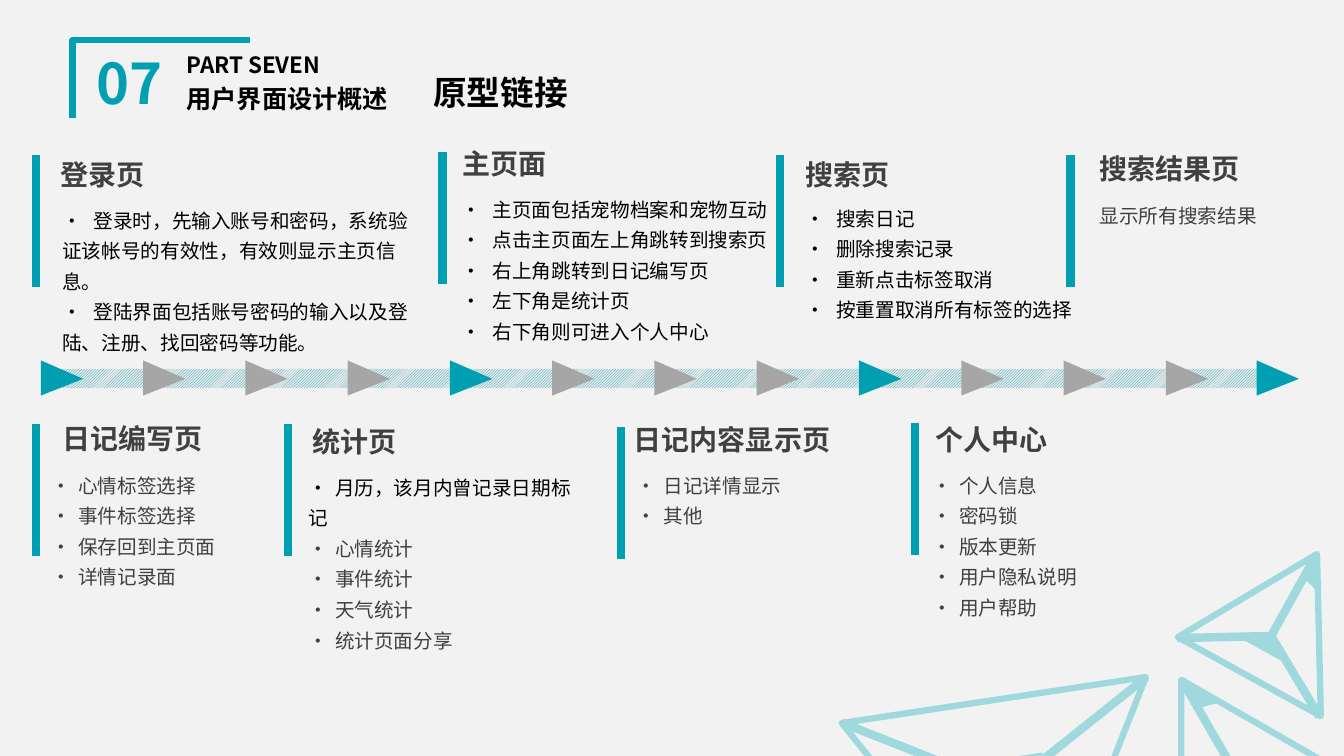
from dataclasses import dataclass
from lxml.etree import SubElement
from pptx import Presentation
from pptx.dml.color import RGBColor
from pptx.enum.dml import MSO_PATTERN
from pptx.enum.shapes import MSO_CONNECTOR, MSO_SHAPE
from pptx.enum.text import MSO_ANCHOR, PP_ALIGN
from pptx.oxml.ns import qn
from pptx.util import Inches, Pt


@dataclass(frozen=True)
class Theme:
    font: str = "Noto Sans CJK SC"
    paper: str = "F2F2F2"
    teal: str = "009FB1"
    pale: str = "9FD9DE"
    grey: str = "A6A6A6"
    track: str = "E9E9E9"
    ink: str = "000000"
    soft: str = "404040"
    number: int = 40
    link: int = 24
    head: int = 20
    title: int = 18
    label: int = 16
    body: int = 14
    bar: float = 6
    frame: float = 4.5
    hair: float = 1


T = Theme()
W, H = Inches(13.333), Inches(7.5)
BAR_H = 17.4
TEXT_W = 18.9
LINE_H = 4.05


def rgb(color):
    return RGBColor.from_string(color)


def px(share):
    return round(W * share / 100)


def py(share):
    return round(H * share / 100)


def place(sp, x, y, w, h):
    sp.left, sp.top, sp.width, sp.height = px(x), py(y), px(w), py(h)


def write(p, text, size, color=T.ink, bold=False, align=PP_ALIGN.LEFT, spacing=None, before=0, tab=None):
    p.alignment, p.line_spacing, p.space_before = align, spacing, Pt(before)
    if tab:
        tabs = SubElement(p._p.get_or_add_pPr(), qn("a:tabLst"))
        SubElement(tabs, qn("a:tab"), pos=str(px(tab)), algn="l")
    r = p.add_run()
    r.text = text
    r.font.size, r.font.bold, r.font.name = Pt(size), bold, T.font
    r.font.color.rgb = rgb(color)
    SubElement(r._r.get_or_add_rPr(), qn("a:ea"), typeface=T.font)


def text_box(s, x, y, w, h):
    tf = s.shapes.add_textbox(px(x), py(y), px(w), py(h)).text_frame
    tf.word_wrap = True
    return tf


def style(sp, fill=None, line=None, width=T.hair):
    sp.shadow.inherit = False
    if fill:
        sp.fill.solid()
        sp.fill.fore_color.rgb = rgb(fill)
    else:
        sp.fill.background()
    if line:
        sp.line.color.rgb, sp.line.width = rgb(line), Pt(width)
    else:
        sp.line.fill.background()


def rule(s, x1, y1, x2, y2, color):
    c = s.shapes.add_connector(MSO_CONNECTOR.STRAIGHT, px(x1), py(y1), px(x2), py(y2))
    c.line.color.rgb, c.line.width = rgb(color), Pt(T.bar)
    SubElement(c._element.spPr, qn("a:effectLst"))


def triangle(s, x, y, w, h, turn, **look):
    sp = s.shapes.add_shape(MSO_SHAPE.ISOSCELES_TRIANGLE, px(x), py(y), px(w), py(h))
    sp.rotation = turn
    style(sp, **look)
    return sp


def outline(s, points, close, **look):
    pts = [(px(x), py(y)) for x, y in points]
    fb = s.shapes.build_freeform(*pts[0])
    fb.add_line_segments(pts[1:], close=close)
    style(fb.convert_to_shape(), **look)


def gem(s, face, turn, edges, chips=(), base=None):
    triangle(s, *face, turn, fill=T.paper, line=T.pale, width=T.frame)
    for edge in edges:
        rule(s, *edge, T.pale)
    if base:
        triangle(s, *base, turn, fill=T.pale, line=T.pale)
    for chip in chips:
        outline(s, chip, True, fill=T.pale, line=T.pale)


def gems(s):
    gem(s, (63.98, 92.4, 22.88, 35.07), 171.4,
        [(85.28, 89.6, 74.93, 104.27), (62.63, 95.6, 75, 104.27)],
        base=(71.78, 100.4, 5.93, 3.2))
    gem(s, (83.7, 88.4, 14.78, 22.67), 330, [(87.9, 89.87, 92.1, 102.8)],
        chips=[[(89.4, 93.47), (90.53, 92.93), (88.58, 90.93)]])
    hub = (94.58, 84.13)
    gem(s, (89.4, 72.13, 12.15, 18.53), 28.9,
        [(97.95, 73.33, *hub), (87.6, 84.4, *hub), (98.18, 94.8, *hub)],
        chips=[[(97.2, 76.67), (97.88, 77.87), (97.8, 74.67)]],
        base=(92.7, 84.4, 3.15, 1.73))


def header(s, x, y):
    outline(s, [(x, y + 10.27), (x, y), (x + 13.2, y)], False, line=T.teal, width=T.frame)
    number = text_box(s, x + 0.75, y + 1.2, 6.98, 9.73)
    write(number.paragraphs[0], "07", T.number, T.teal, True, PP_ALIGN.CENTER, 0.9, 10)
    label = text_box(s, x + 7.73, y + 1.2, 20.03, 4.53)
    write(label.paragraphs[0], "PART SEVEN", T.label, bold=True, spacing=0.9, before=10)
    title = s.shapes.title
    place(title, x + 7.73, y + 5.07, 20.03, 5.87)
    write(title.text_frame.paragraphs[0], "用户界面设计概述", T.title, bold=True, spacing=0.9, before=10)
    for tf in (number, label, title.text_frame):
        tf.vertical_anchor = MSO_ANCHOR.MIDDLE
    link = text_box(s, x + 26.1, y + 2, 12.9, 7.6)
    write(link.paragraphs[0], "原型链接", T.link, bold=True, spacing=1.3, before=6)


def timeline(s, x, y, w):
    track = s.shapes.add_shape(MSO_SHAPE.RECTANGLE, px(x), py(y), px(w), py(2.53))
    style(track)
    track.fill.patterned()
    track.fill.pattern = MSO_PATTERN.LIGHT_UPWARD_DIAGONAL
    track.fill.fore_color.rgb, track.fill.back_color.rgb = rgb(T.teal), rgb(T.track)
    steps = [0.22 + 7.61 * i for i in range(12)] + [w - 1.05]
    for i, dx in enumerate(steps):
        arrow = triangle(s, x + dx, y - 1.6, 2.62, 5.6, 90, fill=T.grey if i % 4 else T.teal)
        arrow.adjustments[0] = 0.525


def panel(s, x, y, head, head_at, body_at, lines, w=TEXT_W, tab=2, color=T.soft, first=None):
    rule(s, x, y, x, y + BAR_H, T.teal)
    tf = text_box(s, x + head_at[0], y + head_at[1], TEXT_W, 5.87)
    write(tf.paragraphs[0], head, T.head, T.soft, True)
    tf = text_box(s, x + body_at[0], y + body_at[1], w, 1.33 + LINE_H * len(lines))
    for i, line in enumerate(lines):
        p = tf.add_paragraph() if i else tf.paragraphs[0]
        shade = color if i else first or color
        write(p, f"·\t{line}" if tab else line, T.body, shade, spacing=1.3, tab=tab)


def panels(s):
    wide = dict(tab=2.32, color=T.ink)
    panel(s, 2.7, 20.53, "登录页", (1.05, -0.4), (1.2, 5.47),
          ["登录时，先输入账号和密码，系统验证该帐号的有效性，有效则显示主页信息。",
           "登陆界面包括账号密码的输入以及登陆、注册、找回密码等功能。"], w=27.6, **wide)
    panel(s, 32.92, 20.13, "主页面", (0.75, -1.47), (0.68, 4.4),
          ["主页面包括宠物档案和宠物互动", "点击主页面左上角跳转到搜索页", "右上角跳转到日记编写页",
           "左下角是统计页", "右下角则可进入个人中心"], w=28.95, **wide)
    panel(s, 58.05, 20.53, "搜索页", (1.12, -0.4), (1.12, 5.2),
          ["搜索日记", "删除搜索记录", "重新点击标签取消", "按重置取消所有标签的选择"], w=27.6, **wide)
    panel(s, 79.65, 20.53, "搜索结果页", (1.43, -1.2), (1.43, 4.8), ["显示所有搜索结果"], tab=None)
    panel(s, 2.7, 56.13, "日记编写页", (1.2, -1.07), (0.38, 4.93),
          ["心情标签选择", "事件标签选择", "保存回到主页面", "详情记录面"])
    panel(s, 21.45, 56.13, "统计页", (1.05, -0.67), (0.75, 5.2),
          ["月历，该月内曾记录日期标记", "心情统计", "事件统计", "天气统计", "统计页面分享"],
          w=21.45, first=T.ink)
    panel(s, 46.2, 56.53, "日记内容显示页", (0.22, -1.33), (0.45, 4.53), ["日记详情显示", "其他"])
    panel(s, 68.1, 56, "个人中心", (0.75, -0.8), (0.52, 5.07),
          ["个人信息", "密码锁", "版本更新", "用户隐私说明", "用户帮助"])


def main():
    prs = Presentation()
    prs.slide_width, prs.slide_height = W, H
    s = prs.slides.add_slide(prs.slide_layouts[5])
    s.background.fill.solid()
    s.background.fill.fore_color.rgb = rgb(T.paper)
    gems(s)
    header(s, 5.4, 5.33)
    timeline(s, 3.08, 48.8, 91.73)
    panels(s)
    prs.save("out.pptx")


if __name__ == "__main__":
    main()
